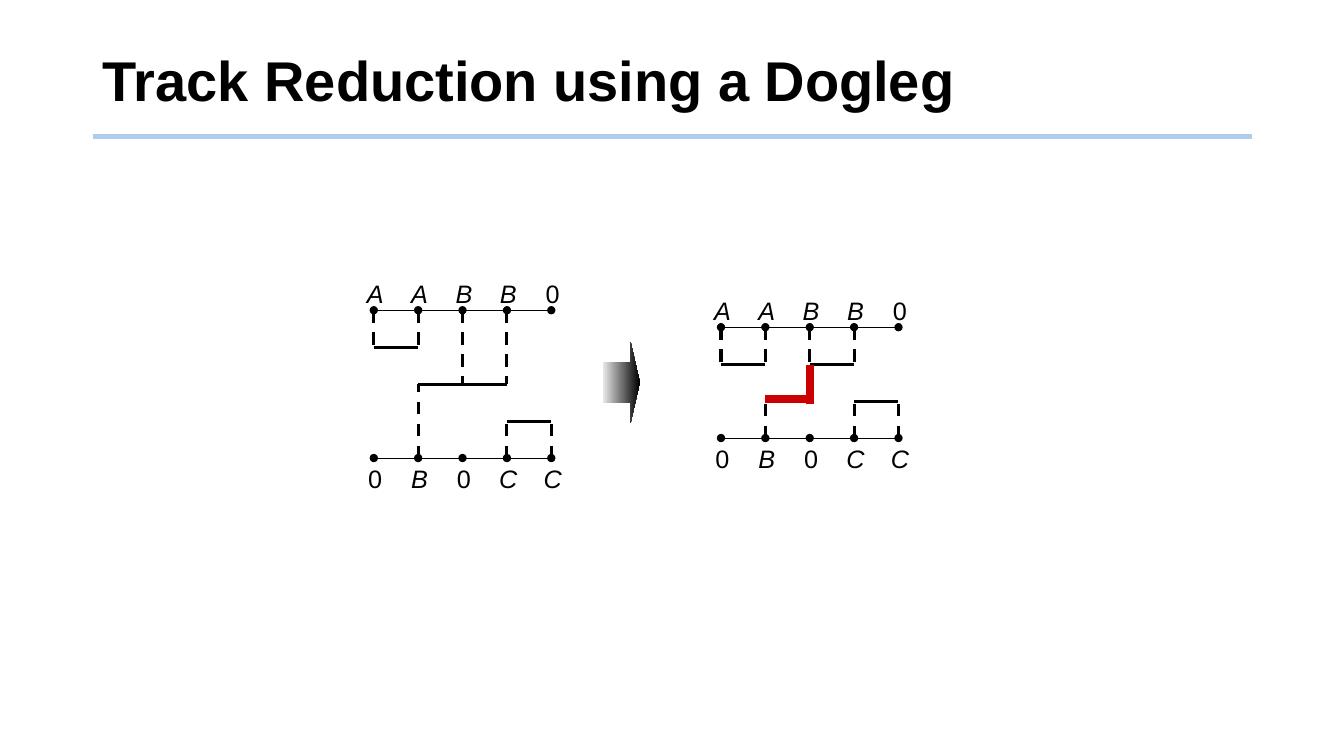
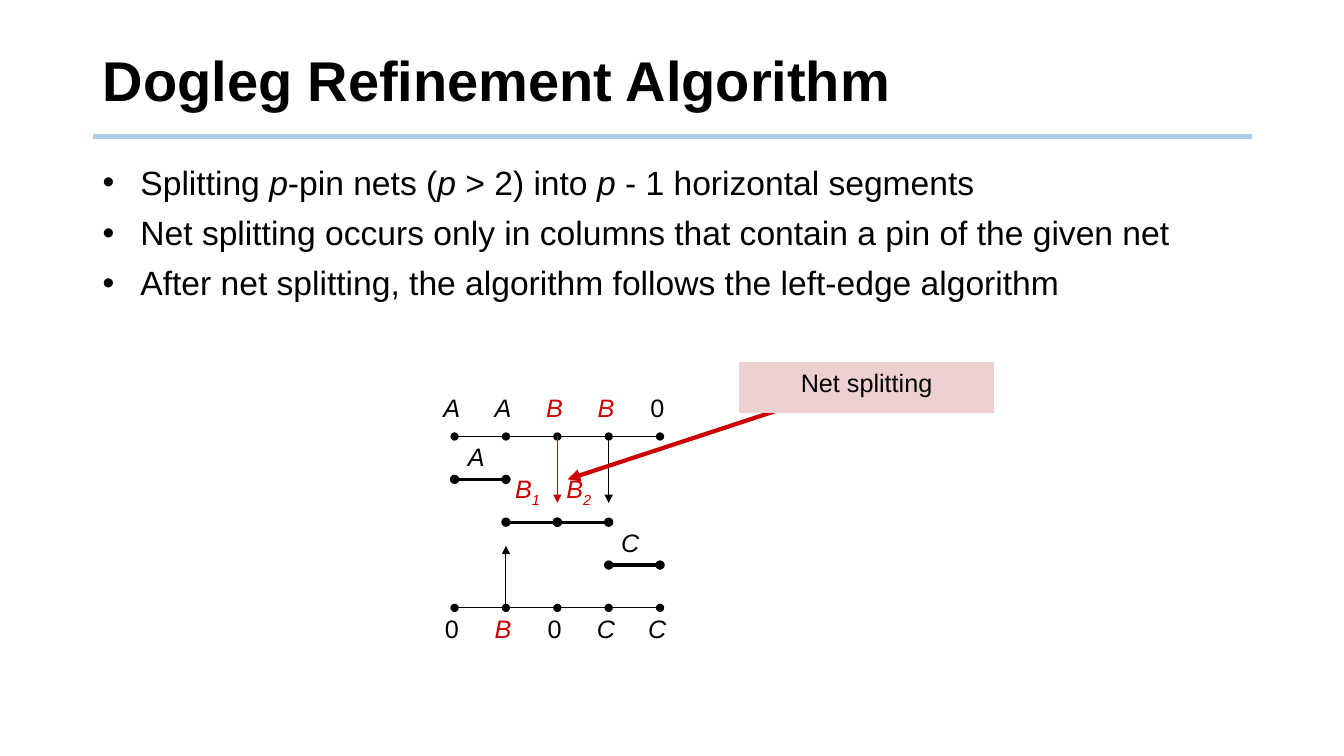
import pptx
import pptx.dml.color
import pptx.enum.dml
import pptx.enum.shapes
import pptx.enum.text
import pptx.oxml.xmlchemy
import pptx.util

Pt = pptx.util.Pt
SHAPE = pptx.enum.shapes.MSO_SHAPE
ALIGN = pptx.enum.text.PP_ALIGN
ANCHOR = pptx.enum.text.MSO_ANCHOR

BLACK, RED, PINK, RULE = "000000", "CC0000", "EDD1D1", "ADCDEA"
FONT = "Arial"
MARGIN, CONTENT_WIDTH = 66.24, 828
TITLE = {"size": Pt(40), "bold": True}
BODY = {"size": Pt(24)}
LABEL = {"size": Pt(18)}
THIN, THICK, DOGLEG = 0.75, 2.25, 6


def rgb(colour):
    return pptx.dml.color.RGBColor.from_string(colour)


def append_element(parent, tag, **attributes):
    child = pptx.oxml.xmlchemy.OxmlElement(tag)
    for name, value in attributes.items():
        child.set(name, value)
    parent.append(child)


def add_run(p, text, colour=BLACK, **formats):
    r = p.add_run()
    r.text = text
    for name, value in {"name": FONT, **formats}.items():
        setattr(r.font, name, value)
    r.font.color.rgb = rgb(colour)
    return r


def add_line(slide, start, end, colour=BLACK, width=THICK, dash=False, head=None, tail=None):
    """Straight line; head and tail name the markers at its start and end."""
    points = [Pt(round(v, 2)) for v in (*start, *end)]
    cx = slide.shapes.add_connector(pptx.enum.shapes.MSO_CONNECTOR.STRAIGHT, *points)
    cx.line.color.rgb = rgb(colour)
    cx.line.width = Pt(width)
    if dash:
        cx.line.dash_style = pptx.enum.dml.MSO_LINE.DASH
    for tag, marker in (("a:headEnd", head), ("a:tailEnd", tail)):
        if marker:
            append_element(cx.line._get_or_add_ln(), tag, type=marker)
    append_element(cx._element.spPr, "a:effectLst")


def add_text_box(slide, left, top, width, height):
    tf = slide.shapes.add_textbox(Pt(left), Pt(top), Pt(width), Pt(height)).text_frame
    tf.word_wrap = True
    return tf


def add_label(slide, x, top, name, colour=BLACK):
    """Net name centred on x; letters after the first become a subscript."""
    tf = add_text_box(slide, round(x - 20, 2), round(top, 2), 40, 28)
    tf.margin_left = tf.margin_right = 0
    p = tf.paragraphs[0]
    p.alignment = ALIGN.CENTER
    add_run(p, name[0], colour, italic=name != "0", **LABEL)
    if name[1:]:
        r = add_run(p, name[1:], colour, italic=True, **LABEL)
        r.font._element.set("baseline", "-25000")


def add_shape(slide, kind, left, top, width, height):
    sp = slide.shapes.add_shape(kind, Pt(left), Pt(top), Pt(width), Pt(height))
    sp.shadow.inherit = False
    return sp


def titled_slide(prs, text):
    slide = prs.slides.add_slide(prs.slide_layouts[5])
    title = slide.shapes.title
    box = {"left": MARGIN, "top": 20, "width": CONTENT_WIDTH, "height": 79}
    for name, value in box.items():
        setattr(title, name, Pt(value))
    tf = title.text_frame
    tf.auto_size = pptx.enum.text.MSO_AUTO_SIZE.NONE
    tf.vertical_anchor = ANCHOR.MIDDLE
    p = tf.paragraphs[0]
    p.alignment = ALIGN.LEFT
    p.line_spacing = 0.9
    add_run(p, text, **TITLE)
    add_line(slide, (MARGIN, 97.5), (MARGIN + CONTENT_WIDTH, 97.5), RULE, 3)
    return slide


def bullet_list(slide, left, top, width, height, items):
    """Each item is text in which *asterisks* mark italics."""
    tf = add_text_box(slide, left, top, width, height)
    for i, item in enumerate(items):
        p = tf.add_paragraph() if i else tf.paragraphs[0]
        pPr = p._p.get_or_add_pPr()
        pPr.set("marL", str(Pt(27)))
        pPr.set("indent", str(-Pt(27)))
        append_element(pPr, "a:buFont", typeface=FONT)
        append_element(pPr, "a:buChar", char="•")
        p.line_spacing = 0.9
        if i:
            p.space_before = Pt(10)
        for j, text in enumerate(item.split("*")):
            add_run(p, text, italic=j % 2 == 1, **BODY)


def channel(slide, left, top, pitch, track, rows, pins, label_shift, label_rise, red_nets=""):
    """Draw both pin rows; return the function from (column, track) to a point."""
    def at(col, row):
        return left + col * pitch, top + row * track

    for row, names, rise in ((0, pins[0], label_rise), (rows, pins[1], 0)):
        for col, name in enumerate(names):
            x, y = at(col, row)
            add_label(slide, x + label_shift, y - rise, name, RED if name in red_nets else BLACK)
            if col:
                add_line(slide, at(col - 1, row), (x, y), width=THIN,
                         head="oval" if col == 1 else None, tail="oval")
    return at


def route(slide, at, verticals, horizontals, **formats):
    """Verticals are (column, from, to), dashed; horizontals are (track, from, to)."""
    for col, start, end in verticals:
        add_line(slide, at(col, start), at(col, end), dash=True)
    for row, start, end in horizontals:
        add_line(slide, at(start, row), at(end, row), **formats)


def track_reduction(prs, pins):
    slide = titled_slide(prs, "Track Reduction using a Dogleg")
    size = {"pitch": 31.7, "track": 26.4, "pins": pins, "label_shift": 1, "label_rise": 26.6}

    at = channel(slide, 267, 221.6, rows=4, **size)
    route(slide, at,
          [(0, 0, 1), (1, 0, 1), (2, 0, 2), (3, 0, 2), (1, 4, 2), (3, 4, 3), (4, 4, 3)],
          [(1, 0, 1), (2, 1, 3), (3, 3, 4)])

    arrow = add_shape(slide, SHAPE.RIGHT_ARROW, 430.5, 244, 26.5, 58.3)
    arrow.adjustments[0], arrow.adjustments[1] = 0.5, 0.25
    arrow.line.fill.background()
    arrow.fill.gradient()
    arrow.fill.gradient_angle = 0
    for stop, position, colour in zip(arrow.fill.gradient_stops, (0, 1), ("EAEAEA", BLACK)):
        stop.position = position
        stop.color.rgb = rgb(colour)

    at = channel(slide, 515, 233.7, rows=3, **size)
    route(slide, at,
          [(0, 0, 1), (1, 0, 1), (2, 0, 2), (3, 0, 1), (1, 3, 2), (3, 3, 2), (4, 3, 2)],
          [(1, 0, 1), (1, 2, 3), (2, 1, 2), (2, 3, 4)])
    for start, end in (((1, 1.95), (2.05, 1.95)), ((2, 2.07), (2, 1.03))):
        add_line(slide, at(*start), at(*end), RED, DOGLEG)


def refinement(prs, pins):
    slide = titled_slide(prs, "Dogleg Refinement Algorithm")
    bullet_list(slide, MARGIN, 115.2, CONTENT_WIDTH, 110, [
        "Splitting *p*-pin nets (*p* > 2) into *p* - 1 horizontal segments",
        "Net splitting occurs only in columns that contain a pin of the given net",
        "After net splitting, the algorithm follows the left-edge algorithm",
    ])
    at = channel(slide, 324.7, 311.8, 36.7, 30.6, 4, pins, -2, 35.3, red_nets="B")
    route(slide, at, [], [(1, 0, 1), (2, 1, 2), (2, 2, 3), (3, 3, 4)], head="oval", tail="oval")
    for name, col, row, colour in (("A", 0.42, 0, BLACK), ("B1", 1.42, 0.75, RED),
                                   ("B2", 2.42, 0.75, RED), ("C", 3.42, 2, BLACK)):
        add_label(slide, *at(col, row), name, colour)
    for col, start, end, colour, width in ((1, 4, 2.55, BLACK, THIN), (2, 0, 1.55, RED, 1),
                                           (3, 0, 1.55, BLACK, THIN)):
        add_line(slide, at(col, start), at(col, end), colour, width, tail="triangle")
    callout(slide, 528.5, 259, 181, 36, "Net splitting", at(2.2, 1))


def callout(slide, left, top, width, height, text, target):
    add_line(slide, (left + 0.42 * width, top + height / 2), target, RED, 3, tail="triangle")
    sp = add_shape(slide, SHAPE.RECTANGLE, left, top, width, height)
    sp.fill.solid()
    sp.fill.fore_color.rgb = sp.line.color.rgb = rgb(PINK)
    sp.line.width = Pt(THIN)
    tf = sp.text_frame
    tf.vertical_anchor = ANCHOR.TOP
    p = tf.paragraphs[0]
    p.alignment = ALIGN.CENTER
    add_run(p, text, **LABEL)


def main():
    prs = pptx.Presentation()
    prs.slide_width, prs.slide_height = Pt(960), Pt(540)
    pins = ("AABB0", "0B0CC")
    track_reduction(prs, pins)
    refinement(prs, pins)
    prs.save("out.pptx")


if __name__ == "__main__":
    main()
